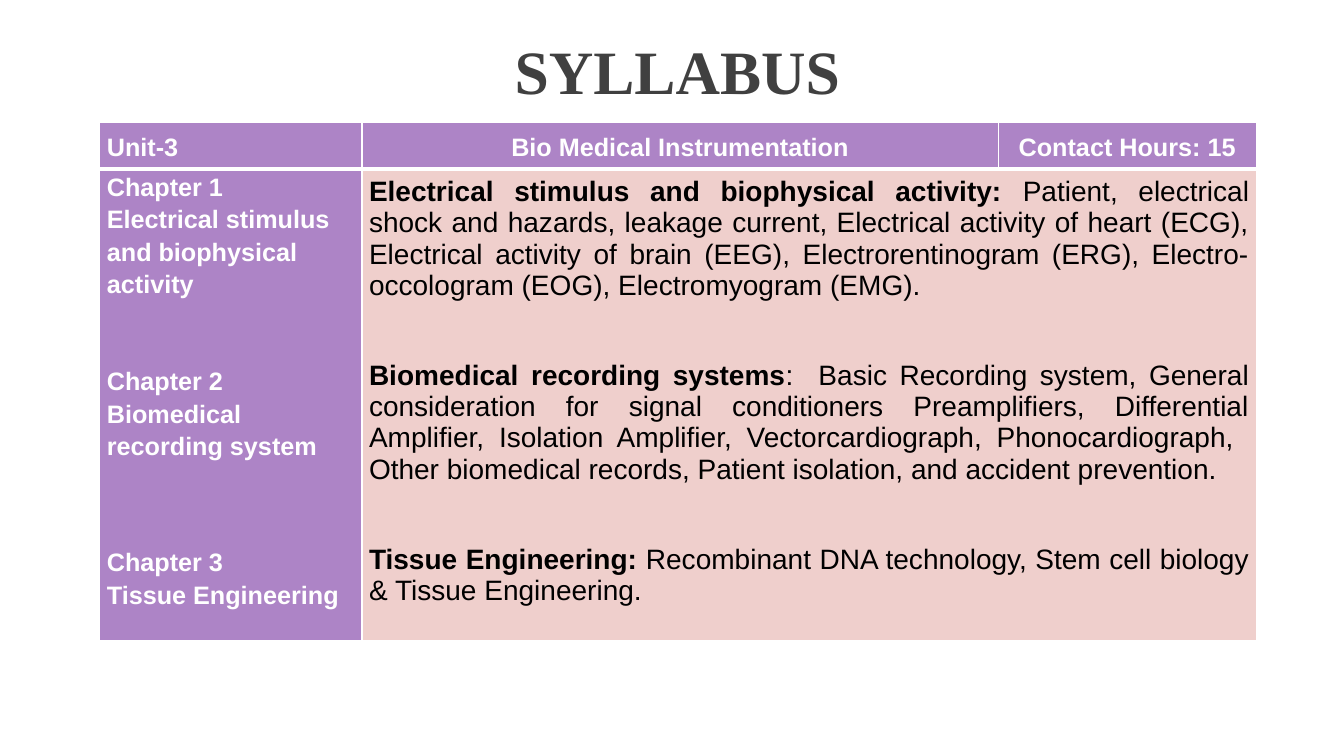
from lxml.etree import SubElement
from pptx import Presentation
from pptx.dml.color import RGBColor
from pptx.enum.text import MSO_ANCHOR as Anchor, PP_ALIGN as Align
from pptx.oxml.ns import qn
from pptx.util import Inches, Pt

COLORS = {"title": "404040", "purple": "AD84C6", "pink": "EFCFCC",
          "white": "FFFFFF", "black": "000000"}
COLUMNS = (2.6, 6.31, 2.56)
ROWS = (0.47, 4.68)
HEADINGS = (("Unit-3", Align.LEFT), ("Bio Medical Instrumentation", Align.CENTER),
            ("Contact Hours: 15", Align.CENTER))
CHAPTERS = (("Chapter 1", "Electrical stimulus and biophysical activity", 0),
            ("Chapter 2", "Biomedical recording system", 46.3),
            ("Chapter 3", "Tissue Engineering", 59.7))
TOPICS = (
    ("Electrical stimulus and biophysical activity: ",
     "Patient, electrical shock and hazards, leakage current, Electrical activity of "
     "heart (ECG), Electrical activity of brain (EEG), Electrorentinogram (ERG), "
     "Electro-occologram (EOG), Electromyogram (EMG)."),
    ("Biomedical recording systems",
     ":  Basic Recording system, General consideration for signal conditioners "
     "Preamplifiers, Differential Amplifier, Isolation Amplifier, Vectorcardiograph, "
     "Phonocardiograph,  Other biomedical records, Patient isolation, and accident "
     "prevention."),
    ("Tissue Engineering: ",
     "Recombinant DNA technology, Stem cell biology & Tissue Engineering."),
)


def add_span(para, text, size, color, bold=True, font="Arial"):
    """Add one formatted run to a paragraph."""
    span = para.add_run()
    span.text = text
    span.font.name = font
    span.font.size = Pt(size)
    span.font.bold = bold
    span.font.color.rgb = RGBColor.from_string(COLORS[color])


def add_para(frame, first, align, spacing, before=0):
    """Return the next paragraph of a frame, reusing its empty first one."""
    para = frame.paragraphs[0] if first else frame.add_paragraph()
    para.alignment = align
    para.line_spacing = spacing
    para.space_before = Pt(before)
    return para


def style_cell(cell, fill, row, top=0):
    """Set the fill, margins and white borders of a table cell."""
    cell.fill.solid()
    cell.fill.fore_color.rgb = RGBColor.from_string(COLORS[fill])
    cell.margin_left = cell.margin_right = Inches(0.07)
    cell.margin_top, cell.margin_bottom = Inches(top), 0
    properties = cell._tc.get_or_add_tcPr()
    widths = {"lnL": 1, "lnR": 1, "lnT": 1 if row == 0 else 3, "lnB": 3 if row == 0 else 1}
    for index, (side, width) in enumerate(widths.items()):
        line = SubElement(properties, qn(f"a:{side}"), w=str(Pt(width)))
        solid = SubElement(line, qn("a:solidFill"))
        SubElement(solid, qn("a:srgbClr"), val=COLORS["white"])
        properties.insert(index, line)


def add_title(page, left, top, width, height):
    """Place the centred slide title."""
    frame = page.shapes.add_textbox(*map(Inches, (left, top, width, height))).text_frame
    frame.word_wrap = True
    frame.vertical_anchor = Anchor.MIDDLE
    para = add_para(frame, True, Align.CENTER, 0.9)
    add_span(para, "SYLLABUS", 44, "title", font="Times New Roman")


def fill_header(table):
    """Write the unit heading row."""
    for column, (text, align) in enumerate(HEADINGS):
        cell = table.cell(0, column)
        style_cell(cell, "purple", 0)
        cell.vertical_anchor = Anchor.MIDDLE
        para = add_para(cell.text_frame, True, align, 1.15)
        add_span(para, text, 18, "white")


def fill_chapters(cell):
    """Write the chapter names down the left cell."""
    style_cell(cell, "purple", 1)
    for index, (number, name, gap) in enumerate(CHAPTERS):
        para = add_para(cell.text_frame, index == 0, Align.LEFT, 1.15, gap)
        add_span(para, number, 18, "white")
        para = add_para(cell.text_frame, False, Align.LEFT, 1.15)
        add_span(para, name, 18, "white")


def fill_topics(cell):
    """Write the topics of each chapter in the wide cell."""
    style_cell(cell, "pink", 1, top=0.07)
    for index, (heading, details) in enumerate(TOPICS):
        para = add_para(cell.text_frame, index == 0, Align.JUSTIFY, 1.0, 42 if index else 0)
        add_span(para, heading, 20, "black")
        add_span(para, details, 20, "black", bold=False)


def add_syllabus(page, left, top):
    """Place the syllabus table."""
    box = map(Inches, (left, top, sum(COLUMNS), sum(ROWS)))
    table = page.shapes.add_table(len(ROWS), len(COLUMNS), *box).table
    table.horz_banding = False
    for column, width in zip(table.columns, COLUMNS):
        column.width = Inches(width)
    for row, height in zip(table.rows, ROWS):
        row.height = Inches(height)
    table.cell(1, 1).merge(table.cell(1, 2))
    fill_header(table)
    fill_chapters(table.cell(1, 0))
    fill_topics(table.cell(1, 1))


def main():
    """Build and save the syllabus slide."""
    deck = Presentation()
    deck.slide_width, deck.slide_height = Inches(13.33), Inches(7.5)
    page = deck.slides.add_slide(deck.slide_layouts[6])
    add_title(page, 1.24, 0.21, 10.96, 1.05)
    add_syllabus(page, 0.99, 1.21)
    deck.save("out.pptx")


if __name__ == "__main__":
    main()
